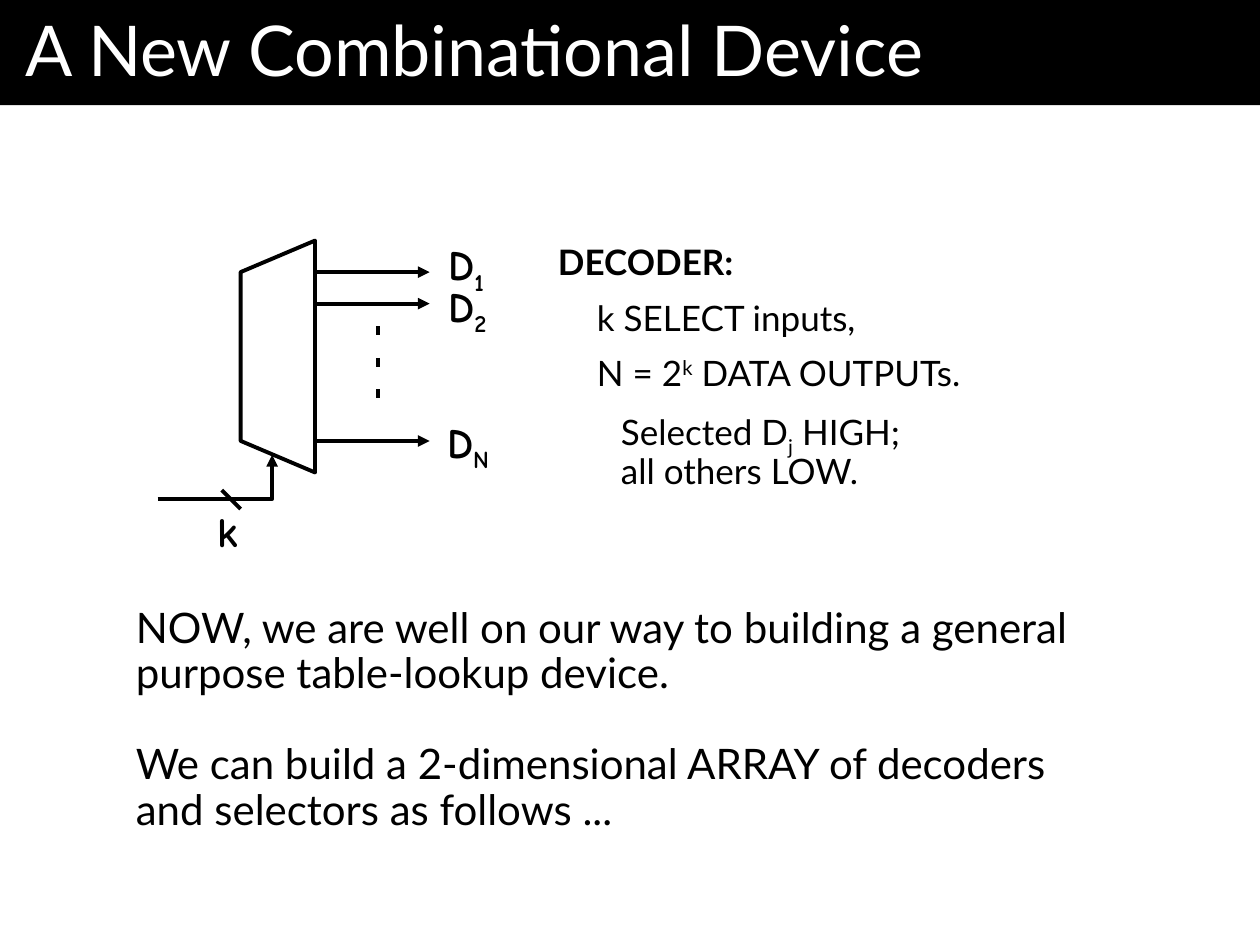
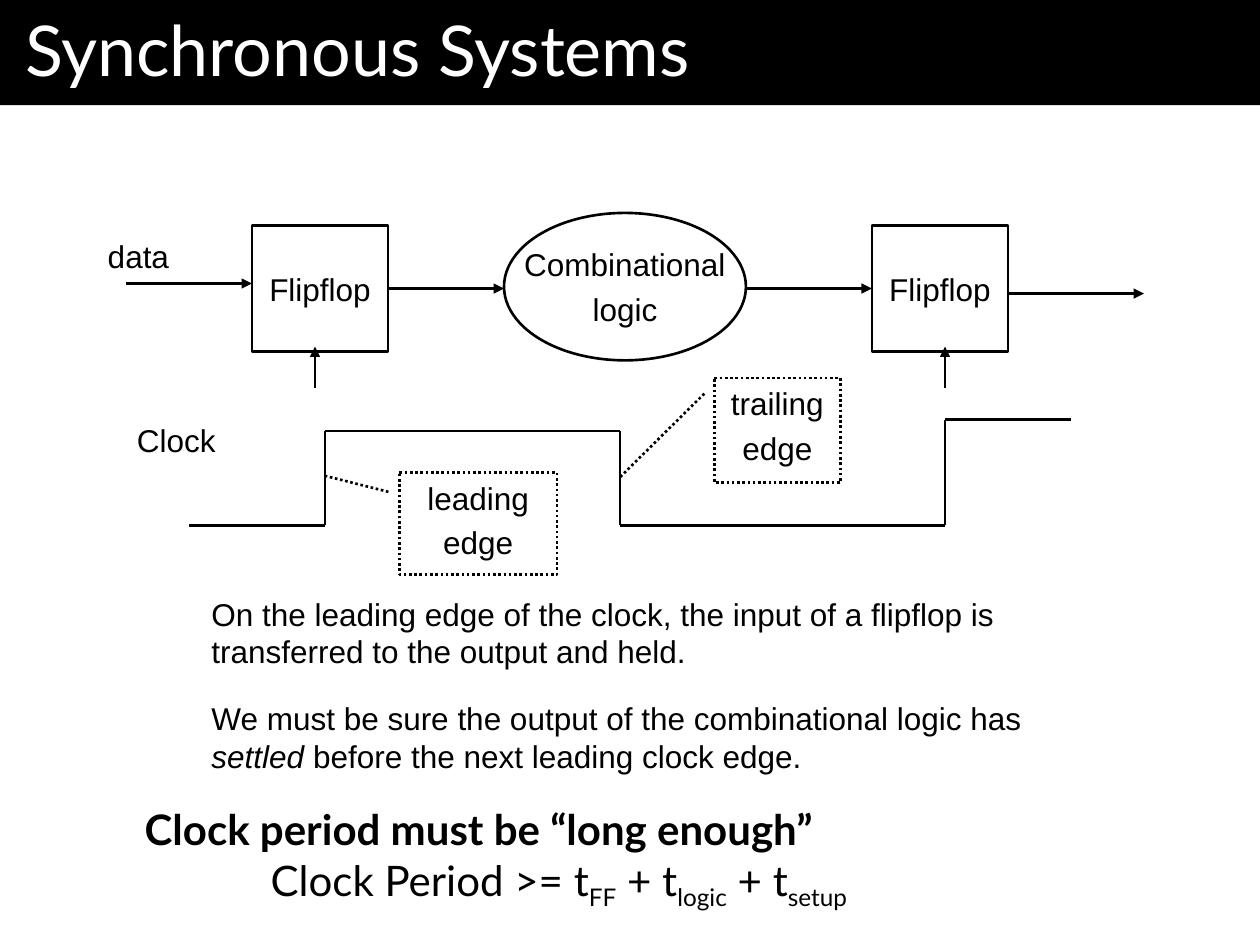
"""Build two lecture slides on decoders and synchronous systems."""
from dataclasses import dataclass
from lxml.etree import SubElement
from pptx import Presentation
from pptx.dml.color import RGBColor
from pptx.enum.dml import MSO_LINE
from pptx.enum.shapes import MSO_CONNECTOR, MSO_SHAPE
from pptx.enum.text import MSO_ANCHOR, MSO_AUTO_SIZE, PP_ALIGN
from pptx.oxml.ns import qn
from pptx.util import Inches, Pt


@dataclass(frozen=True)
class Theme:
    ink: RGBColor = RGBColor(0, 0, 0)
    paper: RGBColor = RGBColor(255, 255, 255)
    main_font: str = "Lato"
    diagram_font: str = "Arial"
    signal_font: str = "Comic Neue"
    title_size: Pt = Pt(40)
    large_size: Pt = Pt(24)
    medium_size: Pt = Pt(20)
    small_size: Pt = Pt(18)
    heavy_line: Pt = Pt(2.25)
    thin_line: Pt = Pt(1.5)


theme = Theme()


def write(shape, paragraphs, font, frame_format):
    text_frame = shape.text_frame
    for name, value in frame_format.items():
        setattr(text_frame, name, value)
    for index, (runs, paragraph_format, indents) in enumerate(paragraphs):
        paragraph = text_frame.add_paragraph() if index else text_frame.paragraphs[0]
        for name, value in paragraph_format.items():
            setattr(paragraph, name, value)
        for name, value in indents.items():
            paragraph._p.get_or_add_pPr().set(name, str(Inches(value)))
        for text, changes, baseline in runs:
            if text == "\n":
                paragraph.add_line_break()
                continue
            run = paragraph.add_run()
            run.text = text
            for name, value in {**font, **changes}.items():
                setattr(run.font, name, value)
            run.font.color.rgb = theme.paper if shape.is_placeholder else theme.ink
            if baseline:
                run._r.get_or_add_rPr().set("baseline", str(baseline * 1000))


def outline(shape, width, arrow=False, dash=None):
    shape.line.color.rgb = theme.ink
    shape.line.width = width
    if dash:
        shape.line.dash_style = dash
    properties = shape.element.spPr
    if arrow:
        SubElement(properties.find(qn("a:ln")), qn("a:tailEnd"), type="triangle")
    SubElement(properties, qn("a:effectLst"))


presentation = Presentation()
presentation.slide_width = Inches(10)
presentation.slide_height = Inches(7.5)

main_large = {"name": theme.main_font, "size": theme.large_size}
main_medium = {"name": theme.main_font, "size": theme.medium_size}
signal = {"name": theme.signal_font, "size": theme.large_size, "bold": True}
diagram = {"name": theme.diagram_font, "size": theme.small_size}
title_font = {"name": theme.main_font, "size": theme.title_size}
wrapped = {"word_wrap": True, "auto_size": MSO_AUTO_SIZE.SHAPE_TO_FIT_TEXT}
unwrapped = {**wrapped, "word_wrap": False}
title_frame = {
    **wrapped, "vertical_anchor": MSO_ANCHOR.TOP,
    "margin_left": Inches(0.2), "margin_right": Inches(0.2),
}

slides = []
for title in ("A New Combinational Device", "Synchronous Systems"):
    slide = presentation.slides.add_slide(presentation.slide_layouts[5])
    band = slide.shapes.title
    band.left, band.top, band.width, band.height = map(Inches, (0, 0, 10, 0.77))
    band.fill.solid()
    band.fill.fore_color.rgb = theme.ink
    write(band, [([(title, {}, 0)], {"alignment": PP_ALIGN.LEFT}, {})], title_font, title_frame)
    slides.append(slide)
decoder_slide, clock_slide = slides

decoder_points = [(1.91, 2.16), (1.91, 3.5), (2.5, 3.75), (2.5, 1.91)]
select_points = [(1.25, 3.96), (2.16, 3.96), (2.16, 3.61)]
for points, closed in ((decoder_points, True), (select_points, False)):
    start, *rest = [(Inches(x), Inches(y)) for x, y in points]
    builder = decoder_slide.shapes.build_freeform(*start)
    builder.add_line_segments(rest, close=closed)
    shape = builder.convert_to_shape()
    shape.fill.background()
    outline(shape, theme.heavy_line, arrow=not closed)

output_arrows = [((2.51, y), (3.41, y)) for y in (2.16, 2.41, 3.5)]
ellipsis_dashes = [((3, 2.59 + 0.25 * step), (3, 2.66 + 0.25 * step)) for step in range(3)]
select_slash = [((1.76, 3.89), (1.91, 4.04))]
wave_points = [
    (1.5, 4.17), (2.58, 4.17), (2.58, 3.42), (4.92, 3.42),
    (4.92, 4.17), (7.5, 4.17), (7.5, 3.33), (8.5, 3.33),
]
clock_wave = list(zip(wave_points, wave_points[1:]))
data_arrows = [
    ((1, 2.25), (2, 2.25)), ((3.08, 2.29), (4, 2.29)),
    ((5.92, 2.29), (6.92, 2.29)), ((8, 2.33), (9.08, 2.33)),
]
clock_arrows = [((x, 3.08), (x, 2.75)) for x in (2.5, 7.5)]
for slide, lines, width, arrow in (
    (decoder_slide, output_arrows, theme.heavy_line, True),
    (decoder_slide, ellipsis_dashes + select_slash, theme.heavy_line, False),
    (clock_slide, clock_wave, theme.thin_line, False),
    (clock_slide, data_arrows + clock_arrows, theme.thin_line, True),
):
    for start, end in lines:
        connector = slide.shapes.add_connector(
            MSO_CONNECTOR.STRAIGHT, *map(Inches, start + end)
        )
        outline(connector, width, arrow)

centered = {"alignment": PP_ALIGN.CENTER}
node_frame = {"word_wrap": False, "vertical_anchor": MSO_ANCHOR.MIDDLE}
callout_frame = {"word_wrap": True, "vertical_anchor": MSO_ANCHOR.TOP}
for kind, place, words, adjustments in (
    (MSO_SHAPE.RECTANGLE, (2, 1.79, 1.08, 1), ["Flipflop"], []),
    (MSO_SHAPE.OVAL, (4, 1.69, 1.92, 1.17), ["Combinational", "logic"], []),
    (MSO_SHAPE.RECTANGLE, (6.92, 1.79, 1.08, 1), ["Flipflop"], []),
    (MSO_SHAPE.LINE_CALLOUT_1, (3.17, 3.75, 1.25, 0.81), ["leading", "edge"],
     [0.19, -0.07, 0.03, -0.48]),
    (MSO_SHAPE.LINE_CALLOUT_1, (5.67, 3, 1, 0.83), ["trailing", "edge"],
     [0.15, -0.08, 0.95, -0.75]),
):
    shape = clock_slide.shapes.add_shape(kind, *map(Inches, place))
    for index, value in enumerate(adjustments):
        shape.adjustments[index] = value
    shape.fill.background()
    outline(shape, theme.thin_line, dash=MSO_LINE.ROUND_DOT if adjustments else None)
    paragraphs = [
        ([(word, {}, 0)], {**centered, "space_before": Pt(4 if index else 0)}, {})
        for index, word in enumerate(words)
    ]
    write(shape, paragraphs, diagram, callout_frame if adjustments else node_frame)

right = {"alignment": PP_ALIGN.RIGHT}
tight_right = {**right, "line_spacing": 0.9}
tight = {"line_spacing": 0.9}
spaced = {**tight, "space_before": Pt(10)}
hanging = {"marL": 0.5, "indent": -0.19}
bold = {"bold": True}
decoder_text = [
    ([("DECODER:", bold, 0)], tight, {}),
    ([("k SELECT inputs,", {}, 0)], spaced, hanging),
    ([("N = 2", {}, 0), ("k", {}, 30), (" DATA OUTPUTs.", {}, 0)], spaced, hanging),
    ([("Selected D", {}, 0), ("j", {}, -25), (" HIGH;", {}, 0), ("\n", {}, 0),
      ("all others LOW.", {}, 0)], spaced, {"marL": 0.5, "indent": 0}),
]
lookup_text = [
    ([("NOW, we are well on our way to building a general purpose "
       "table-lookup device.", {}, 0)], tight, {}),
    ([("We can build a 2-dimensional ARRAY of decoders and selectors "
       "as follows ...", {}, 0)], {**tight, "space_before": Pt(26)}, {}),
]
leading_text = [
    ([("On the leading edge of the clock, the input of a flipflop is "
       "transferred to the output and held.", {}, 0)], {}, {}),
]
settled_text = [
    ([("We must be sure the output of the combinational logic has ", {}, 0),
      ("settled", {"italic": True}, 0),
      (" before the next leading clock edge.", {}, 0)], {}, {}),
]
formula = [("Clock Period >= t", {}, 0), ("FF", {}, -25), (" + t", {}, 0),
           ("logic", {}, -25), (" + t", {}, 0), ("setup", {}, -25)]
period_text = [
    ([("Clock period must be “long enough”", bold, 0)], {}, {}),
    (formula, {}, {"marL": 1, "indent": 0}),
]
text_boxes = [
    (decoder_slide, (1.61, 4.01, 0.38, 0.47), [([("k", {}, 0)], tight_right, {})],
     signal, unwrapped),
    (decoder_slide, (4.33, 1.9, 4.33, 2.12), decoder_text, main_medium, wrapped),
    (decoder_slide, (0.98, 4.77, 7.71, 1.92), lookup_text, main_large, wrapped),
    (clock_slide, (1.58, 4.67, 6.83, 0.7), leading_text, diagram, wrapped),
    (clock_slide, (1.58, 5.5, 7.08, 0.7), settled_text, diagram, wrapped),
    (clock_slide, (1.05, 6.33, 8.28, 0.91), period_text, main_large, wrapped),
]
for left, top, width, subscript in (
    (3.36, 1.85, 0.58, "1"), (3.38, 2.18, 0.58, "2"), (3.36, 3.26, 0.62, "N"),
):
    label = [([("D", {}, 0), (subscript, {}, -25)], tight_right, {})]
    text_boxes.append((decoder_slide, (left, top, width, 0.47), label, signal, unwrapped))
for place, word in (((0.98, 3.29, 0.83, 0.4), "Clock"), ((0.75, 1.83, 0.69, 0.4), "data")):
    label = [([(word, {}, 0)], right, {})]
    text_boxes.append((clock_slide, place, label, diagram, unwrapped))
for slide, place, paragraphs, font, frame_format in text_boxes:
    text_box = slide.shapes.add_textbox(*map(Inches, place))
    write(text_box, paragraphs, font, frame_format)

presentation.save("out.pptx")
